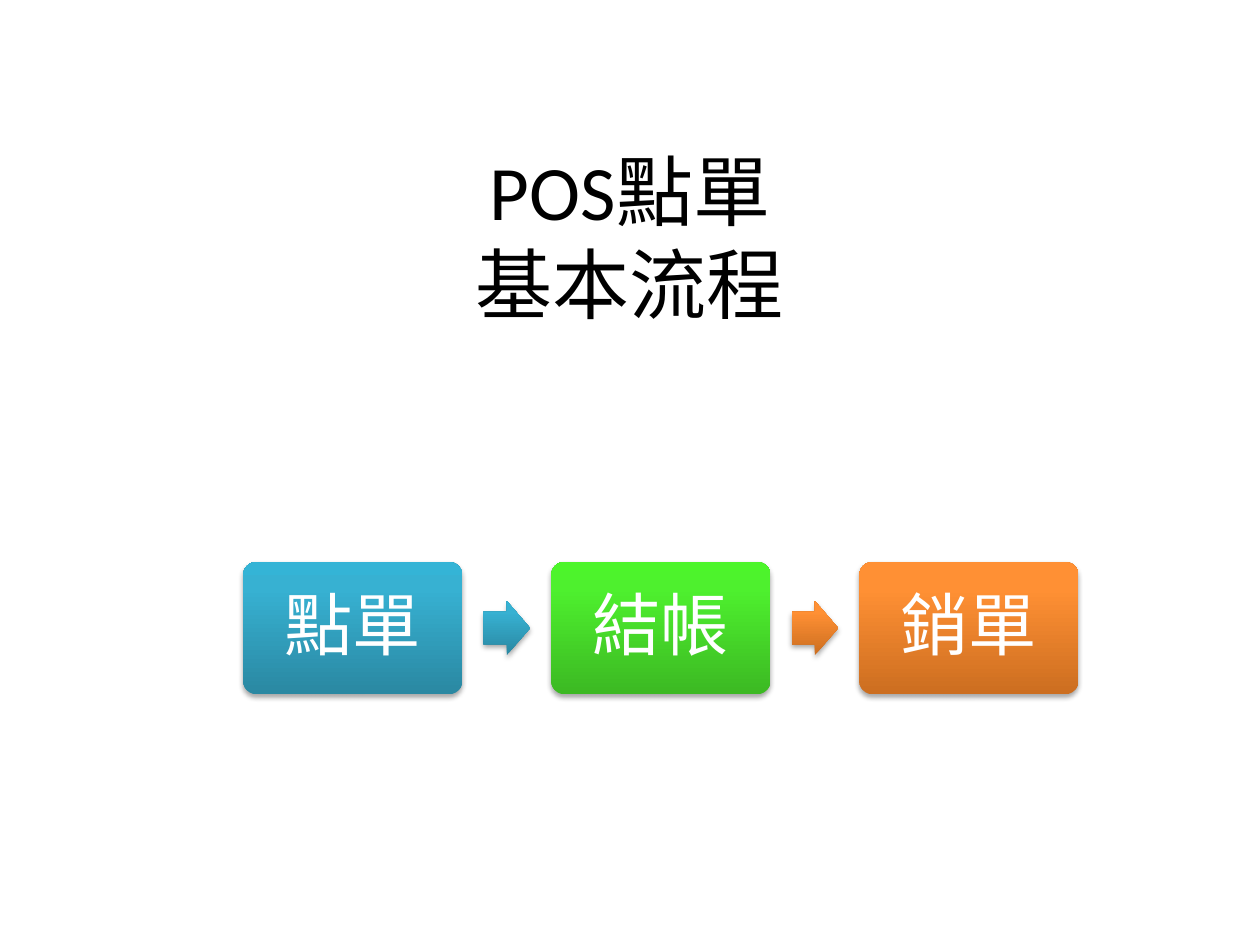
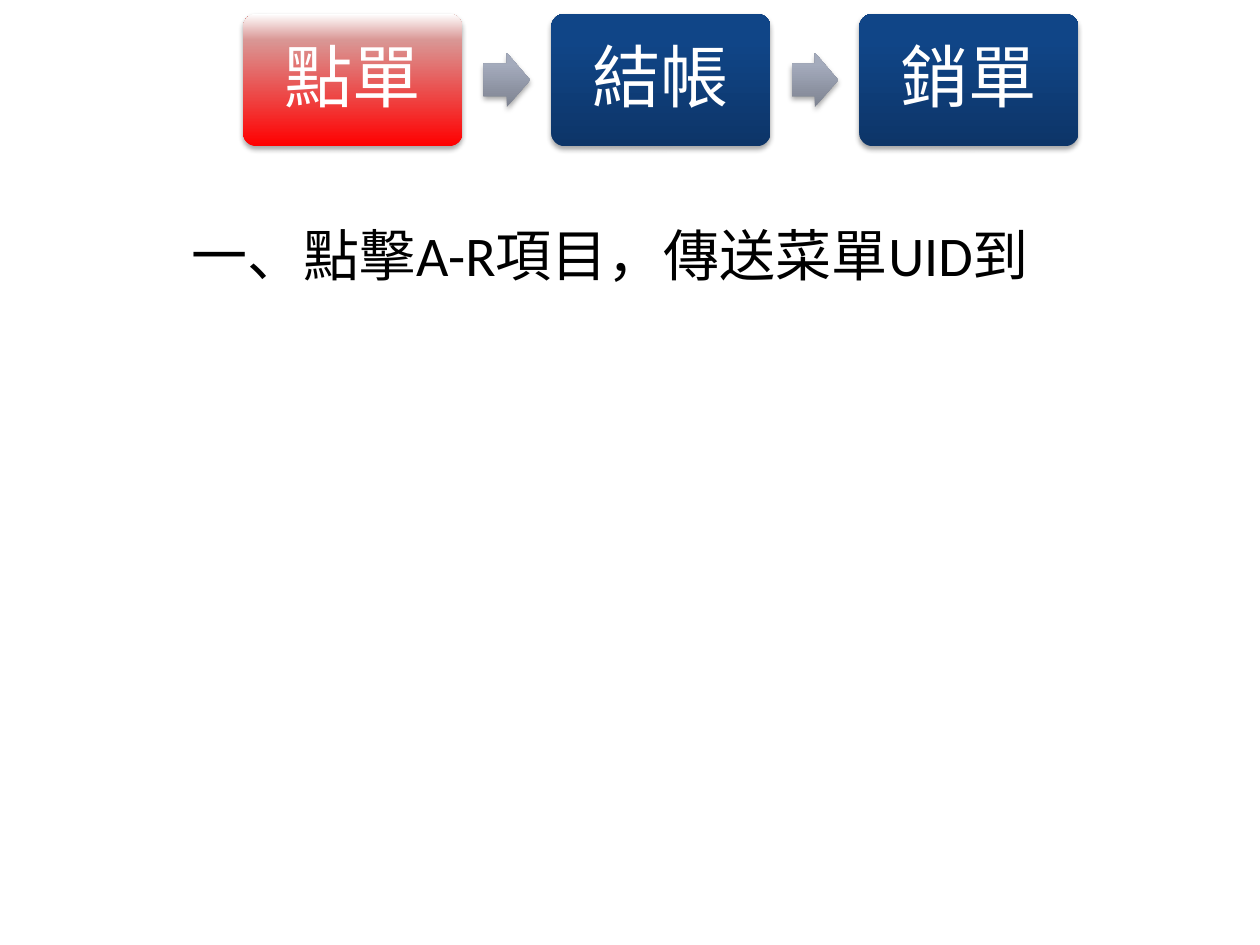
from dataclasses import dataclass
from lxml.etree import SubElement
from pptx import Presentation
from pptx.dml.color import RGBColor
from pptx.enum.shapes import MSO_SHAPE as Geom
from pptx.enum.text import MSO_ANCHOR as Anchor, PP_ALIGN as Align
from pptx.oxml.ns import qn
from pptx.util import Inches, Pt


@dataclass(frozen=True)
class Theme:
    font: str = "Calibri"
    title_size: int = 44
    body_size: int = 32
    step_size: int = 39
    ink: str = "000000"
    light: str = "FFFFFF"
    # Gradients run from bottom to top, with stops at 0, 80 and 100 %
    blue: tuple = ("2A88A2", "37B1D2", "34B4D6")
    green: tuple = ("3CB923", "4EF02E", "4CF52A")
    orange: tuple = ("CC6E20", "FF9034", "FF9136")
    red: tuple = ("FF0000", "D99694", "FFFFFF")
    navy: tuple = ("0D3568", "104587", "0E458A")
    grey: tuple = ("7E8391", "A4ABBC", "A4ABBE")


T = Theme()
STEPS = ("點單", "結帳", "銷單")
FLOW_LEFT, FLOW_WIDTH, FLOW_HEIGHT = 1.93, 6.63, 1.05
CARD_WIDTH, ARROW_WIDTH, ARROW_HEIGHT = 1.74, 0.37, 0.43


def place(sp, box):
    sp.left, sp.top, sp.width, sp.height = (Inches(v) for v in box)


def set_text(sp, text, size, color, anchor):
    tf = sp.text_frame
    tf.word_wrap = True
    tf.vertical_anchor = anchor
    p = tf.paragraphs[0]
    p.text = text
    p.alignment = Align.CENTER
    for r in p.runs:
        r.font.name, r.font.size = T.font, Pt(size)
        r.font.color.rgb = RGBColor.from_string(color)
    return tf


def add_color(parent, value):
    color = SubElement(parent, qn("a:srgbClr"), val=value)
    return color


def add_glossy(shapes, geom, box, adjustments, gradient):
    """Add a preset shape with a vertical gradient and a soft shadow."""
    sp = shapes.add_shape(geom, *(Inches(v) for v in box))
    for i, value in enumerate(adjustments):
        sp.adjustments[i] = value
    sp.line.fill.background()
    sp.fill.gradient()
    sp.fill.gradient_angle = 90
    sp.shadow.inherit = False
    props = sp._element.spPr

    # Gradient stops
    stops = props.find(qn("a:gradFill")).find(qn("a:gsLst"))
    for stop in list(stops):
        stops.remove(stop)
    for percent, value in zip((0, 80, 100), gradient):
        add_color(SubElement(stops, qn("a:gs"), pos=str(percent * 1000)), value)

    # Shadow straight below
    shadow = SubElement(props.find(qn("a:effectLst")), qn("a:outerShdw"),
                        blurRad=str(Pt(3.1)), dist=str(Pt(1.8)),
                        dir="5400000", rotWithShape="0")
    SubElement(add_color(shadow, T.ink), qn("a:alpha"), val="35000")
    return sp


def add_step(shapes, box, text, gradient):
    sp = add_glossy(shapes, Geom.ROUNDED_RECTANGLE, box, [0.1], gradient)
    tf = set_text(sp, text, T.step_size, T.light, Anchor.MIDDLE)
    tf.margin_left = tf.margin_right = Inches(0.19)
    tf.margin_top = tf.margin_bottom = Inches(0.19)
    p = tf.paragraphs[0]
    p.line_spacing = 0.9
    p.space_after = Pt(0.35 * T.step_size)


def add_flow(slide, box, card_colors, arrow_colors):
    """Spread the steps over the box, with an arrow centred in each gap."""
    left, top, width, height = box
    shapes = slide.shapes.add_group_shape().shapes
    pitch = (width - CARD_WIDTH) / (len(STEPS) - 1)
    arrow_offset = (pitch + CARD_WIDTH - ARROW_WIDTH) / 2
    arrow_top = top + (height - ARROW_HEIGHT) / 2
    for i, text in enumerate(STEPS):
        x = left + i * pitch
        add_step(shapes, (x, top, CARD_WIDTH, height), text, card_colors[i])
        if i < len(arrow_colors):
            add_glossy(shapes, Geom.RIGHT_ARROW,
                       (x + arrow_offset, arrow_top, ARROW_WIDTH, ARROW_HEIGHT),
                       [0.6, 0.5], arrow_colors[i])


def new_slide(prs, keep):
    """Add a title slide and keep only the placeholder with the given index."""
    slide = prs.slides.add_slide(prs.slide_layouts[0])
    for ph in list(slide.placeholders):
        if ph.placeholder_format.idx != keep:
            ph._element.getparent().remove(ph._element)
    return slide, slide.placeholders[keep]


def cover_slide(prs):
    slide, title = new_slide(prs, keep=0)
    place(title, (0.75, 1.07, 8.5, 1.61))
    set_text(title, "POS點單\v基本流程", T.title_size, T.ink, Anchor.MIDDLE)
    add_flow(slide, (FLOW_LEFT, 4.46, FLOW_WIDTH, FLOW_HEIGHT),
             (T.blue, T.green, T.orange), (T.blue, T.orange))


def step_slide(prs, active, text):
    slide, body = new_slide(prs, keep=1)
    place(body, (0.28, 1.7, 9.13, 1.92))
    set_text(body, text, T.body_size, T.ink, Anchor.TOP)
    # The active step is red, the others navy
    cards = [T.red if i == active else T.navy for i in range(len(STEPS))]
    add_flow(slide, (FLOW_LEFT, 0.11, FLOW_WIDTH, FLOW_HEIGHT),
             cards, (T.grey, T.grey))


prs = Presentation()
prs.slide_width, prs.slide_height = Inches(10), Inches(7.5)
cover_slide(prs)
step_slide(prs, 0, "一、點擊A-R項目，傳送菜單UID到")
prs.save("out.pptx")
